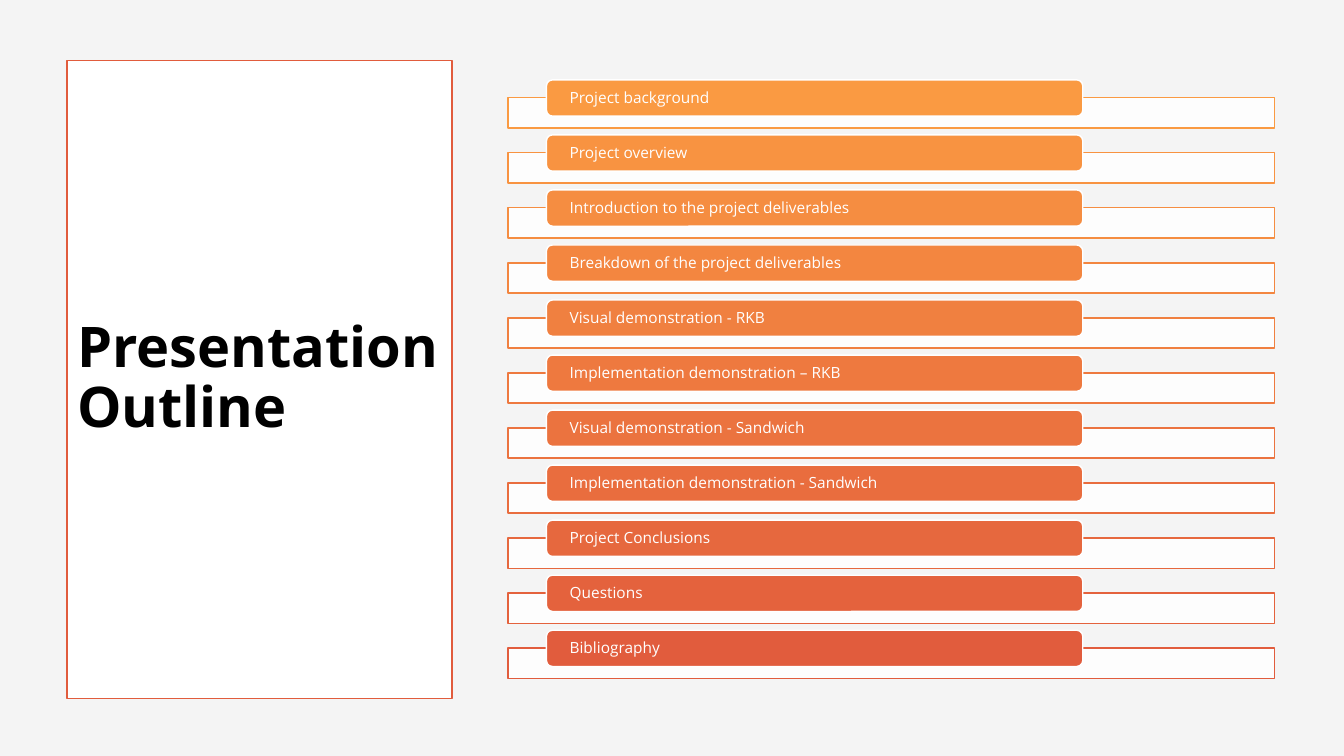
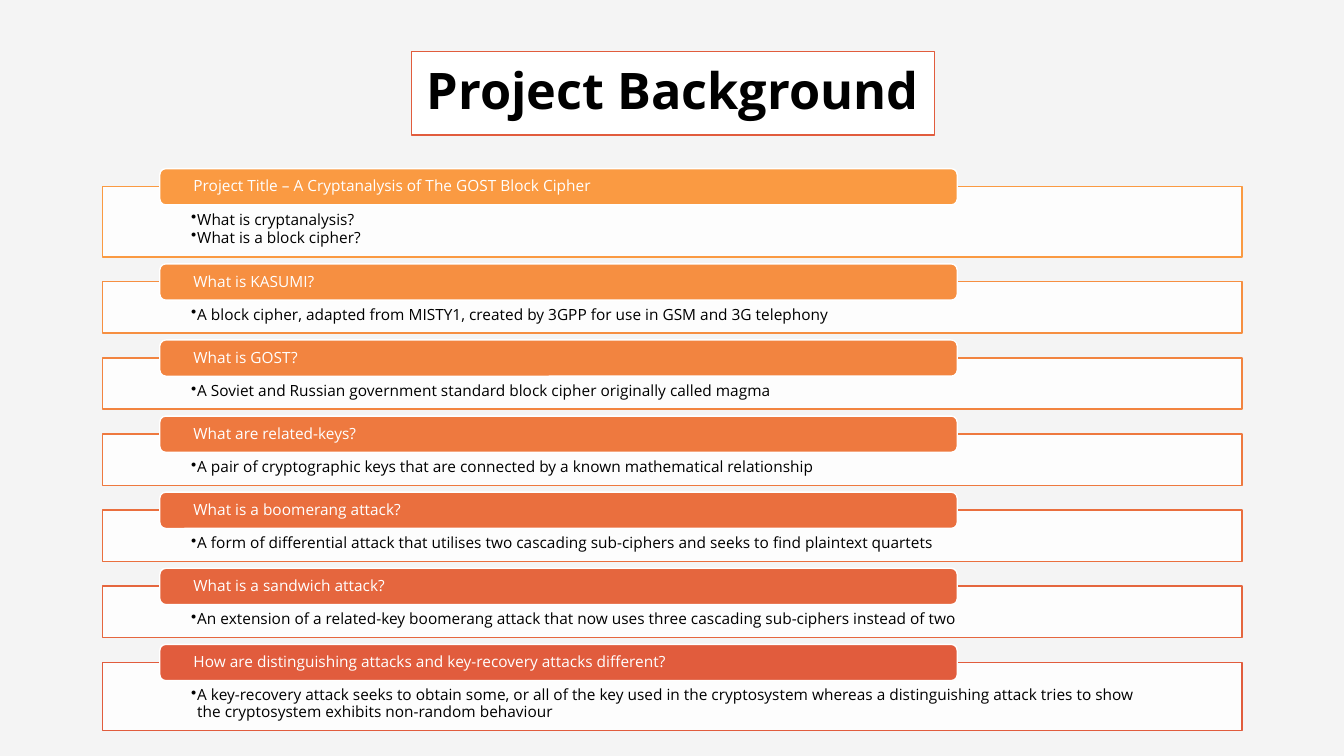
from lxml import etree
from pptx import Presentation
from pptx.dml.color import RGBColor
from pptx.enum.shapes import MSO_SHAPE as SHAPE
from pptx.enum.text import MSO_ANCHOR as ANCHOR, PP_ALIGN as ALIGN
from pptx.oxml.ns import qn
from pptx.util import Inches, Pt

# Shared style
PAPER = RGBColor(0xF4, 0xF4, 0xF4)
WHITE = RGBColor(0xFF, 0xFF, 0xFF)
BLACK = RGBColor(0x00, 0x00, 0x00)
AMBER = RGBColor(0xFA, 0x9A, 0x42)
ORANGE = RGBColor(0xEE, 0x79, 0x3F)
RED = RGBColor(0xE1, 0x5C, 0x3D)
FONT = "Open Sans"
TEXT_SIZE = 11

prs = Presentation()
prs.slide_width, prs.slide_height = Inches(13.33), Inches(7.5)
VW, VH = prs.slide_width / 100, prs.slide_height / 100  # 1 % of the slide
BAR_H, BAR_RISE = 4.8 * VH, 2.36 * VH


def add_box(s, kind, left, top, width, height, fill, line, insets, anchor):
    sp = s.shapes.add_shape(kind, *map(round, (left, top, width, height)))
    sp.shadow.inherit = False
    sp.fill.solid()
    sp.fill.fore_color.rgb = fill
    sp.line.color.rgb = line
    sp.line.width = Pt(1)
    tf = sp.text_frame
    tf.word_wrap = True
    tf.vertical_anchor = anchor
    tf.margin_left = tf.margin_right = round(insets[0])
    tf.margin_top, tf.margin_bottom = round(insets[1]), round(insets[2])
    return sp


def add_text(p, text, size, color, bold=False, align=ALIGN.LEFT):
    p.alignment = align
    p.line_spacing = 0.9
    r = p.add_run()
    r.text = text
    r.font.name = FONT
    r.font.size = Pt(size)
    r.font.bold = bold
    r.font.color.rgb = color


# Each topic: bar text, panel height in % of the slide, bullets
outline = [(text, 4, []) for text in (
    "Project background",
    "Project overview",
    "Introduction to the project deliverables",
    "Breakdown of the project deliverables",
    "Visual demonstration - RKB",
    "Implementation demonstration – RKB",
    "Visual demonstration - Sandwich",
    "Implementation demonstration - Sandwich",
    "Project Conclusions",
    "Questions",
    "Bibliography",
)]
background = [
    ("Project Title – A Cryptanalysis of The GOST Block Cipher", 9.33,
     ["What is cryptanalysis?", "What is a block cipher?"]),
    ("What is KASUMI?", 6.8,
     ["A block cipher, adapted from MISTY1, created by 3GPP for use in GSM "
      "and 3G telephony"]),
    ("What is GOST?", 6.8,
     ["A Soviet and Russian government standard block cipher originally "
      "called magma"]),
    ("What are related-keys?", 6.8,
     ["A pair of cryptographic keys that are connected by a known "
      "mathematical relationship"]),
    ("What is a boomerang attack?", 6.8,
     ["A form of differential attack that utilises two cascading "
      "sub-ciphers and seeks to find plaintext quartets"]),
    ("What is a sandwich attack?", 6.8,
     ["An extension of a related-key boomerang attack that now uses three "
      "cascading sub-ciphers instead of two"]),
    ("How are distinguishing attacks and key-recovery attacks different?", 9.07,
     ["A key-recovery attack seeks to obtain some, or all of the key used in "
      "the cryptosystem whereas a distinguishing attack tries to show the "
      "cryptosystem exhibits non-random behaviour"]),
]

# Each slide: title, its size, alignment and box; stack left, width,
# first and last panel top; topics. Lengths are in % of the slide.
slides = [
    ("Presentation Outline", 40, ALIGN.LEFT, (5, 8, 28.65, 84.4),
     (37.81, 57.01, 12.93, 85.73), outline),
    ("Project Background", 36, ALIGN.CENTER, (30.6, 6.8, 38.93, 11.07),
     (7.65, 84.77, 24.67, 87.6), background),
]

for title, size, align, (x, y, w, h), stack, topics in slides:
    s = prs.slides.add_slide(prs.slide_layouts[6])
    s.background.fill.solid()
    s.background.fill.fore_color.rgb = PAPER

    # Title box
    sp = add_box(s, SHAPE.RECTANGLE, x * VW, y * VH, w * VW, h * VH, WHITE, RED,
                 (Inches(0.1), Inches(0.05), Inches(0.05)), ANCHOR.MIDDLE)
    add_text(sp.text_frame.paragraphs[0], title, size, BLACK, True, align)

    # Stack of panels with equal gaps
    left, width = stack[0] * VW, stack[1] * VW
    top, last_top = stack[2] * VH, stack[3] * VH
    steps = len(topics) - 1
    used = sum(topic[1] for topic in topics[:-1]) * VH
    gap = (last_top - top - used) / steps

    for i, (heading, share, bullets) in enumerate(topics):
        # Colour runs from amber through orange to red
        t = 2 * i / steps
        start, end = (AMBER, ORANGE) if t < 1 else (ORANGE, RED)
        color = RGBColor(*(round(a + (b - a) * (t % 1 if t < 2 else 1))
                           for a, b in zip(start, end)))

        # Panel, 90 % opaque, with its bullets
        panel = add_box(s, SHAPE.RECTANGLE, left, top, width, share * VH, WHITE,
                        color, (width * 0.08 - 0.2 * VW, 3.33 * VH, 1.2 * VH),
                        ANCHOR.TOP)
        solid = panel.fill.fore_color._xFill
        etree.SubElement(solid[0], qn("a:alpha"), val="90000")
        tf = panel.text_frame
        for n, bullet in enumerate(bullets):
            p = tf.add_paragraph() if n else tf.paragraphs[0]
            add_text(p, bullet, TEXT_SIZE, BLACK)
            p.space_after = Pt(1)
            pPr = p._p.get_or_add_pPr()
            pPr.set("marL", str(Inches(0.06)))
            pPr.set("indent", str(-Inches(0.06)))
            etree.SubElement(pPr, qn("a:buChar"), char="•")

        # Heading bar over the panel's top edge
        bar_w = width * 0.7
        bar = add_box(s, SHAPE.ROUNDED_RECTANGLE, left + width * 0.05,
                      top - BAR_RISE, bar_w, BAR_H, color, WHITE,
                      (bar_w * 0.04, 0, 0), ANCHOR.MIDDLE)
        add_text(bar.text_frame.paragraphs[0], heading, TEXT_SIZE, WHITE)
        top += share * VH + gap

prs.save("out.pptx")
